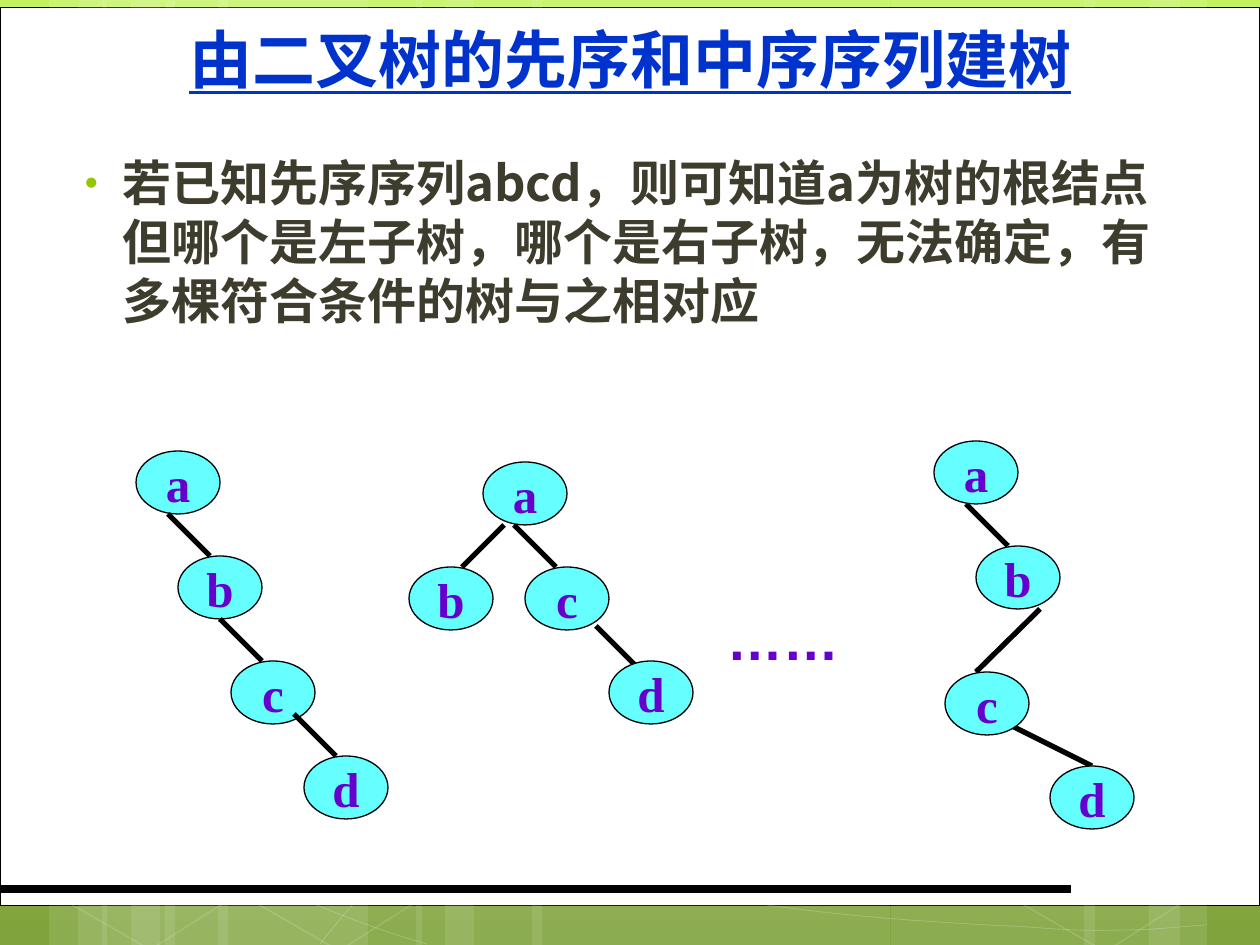
"""Build a slide showing that a preorder sequence alone does not fix a binary tree."""
from lxml import etree
from pptx import Presentation
from pptx.dml.color import RGBColor
from pptx.enum.shapes import MSO_CONNECTOR, MSO_SHAPE
from pptx.enum.text import MSO_ANCHOR, MSO_AUTO_SIZE, PP_ALIGN
from pptx.oxml.ns import qn
from pptx.util import Pt

STRAIGHT = MSO_CONNECTOR.STRAIGHT
RECTANGLE, OVAL, HEXAGON = MSO_SHAPE.RECTANGLE, MSO_SHAPE.OVAL, MSO_SHAPE.HEXAGON
MIDDLE, TOP = MSO_ANCHOR.MIDDLE, MSO_ANCHOR.TOP
CENTER, LEFT = PP_ALIGN.CENTER, PP_ALIGN.LEFT
EMU_PER_PX = 914400 / 126
WIDTH, HEIGHT = 1260, 945
COLORS = {
    "sky": "C2F35F", "grass": "80A33D", "white": "FFFFFF", "black": "000000",
    "title": "0033CC", "body": "3E3D2D", "bullet": "94C600",
    "node": "66FFFF", "label": "6600CC",
}

TITLE = "由二叉树的先序和中序序列建树"
BODY = ("若已知先序序列abcd，则可知道a为树的根结点但哪个是左子树，"
        "哪个是右子树，无法确定，有多棵符合条件的树与之相对应")
ELLIPSIS = "……"
CHINESE_FONT = "Noto Sans CJK JP"
TITLE_FONT = {"name": "Quicksand", "size": Pt(36), "bold": True, "underline": True}
BODY_FONT = {"name": CHINESE_FONT, "size": Pt(28), "bold": True}
NODE_FONT = {"name": "Times New Roman", "size": Pt(28), "bold": True}
ELLIPSIS_FONT = {"name": "Arial", "size": Pt(32), "bold": True}

NODE_SIZE = (84, 63)
TREES = [
    {"nodes": {"a": (136, 451), "b": (178, 556), "c": (231, 661), "d": (304, 756)},
     "edges": [(168, 514, 210, 556), (220, 619, 262, 661), (294, 714, 336, 756)],
     "edges_on_top": True},
    {"nodes": {"a": (483, 462), "b": (409, 567), "c": (525, 567), "d": (609, 661)},
     "edges": [(504, 525, 462, 567), (514, 525, 556, 567), (596, 626, 638, 668)],
     "edges_on_top": False},
    {"nodes": {"a": (934, 441), "b": (976, 546), "c": (945, 672), "d": (1050, 766)},
     "edges": [(966, 504, 1008, 546), (1040, 609, 976, 672), (1008, 724, 1092, 766)],
     "edges_on_top": False},
]

BANDS = [(165, 203), (49, 58), (78, 97), (218, 204), (102, 58), (131, 97),
         (891, 204), (1149, 58), (1084, 96), (532, 358), (416, 58), (445, 97)]
CURVES = [
    [(45, 777), (185, 847), (325, 916), (427, 944)],
    [(47, 728), (83, 742), (120, 756), (188, 776), (255, 795), (355, 827), (452, 848),
     (549, 869), (672, 892), (767, 905), (863, 919), (966, 924), (1028, 927),
     (1089, 932), (1105, 930), (1135, 930), (1164, 929), (1186, 926), (1207, 925)],
    [(320, 944), (340, 919), (360, 893), (389, 871)],
]
HEXAGON_SIZE = (203, 192)
HEXAGONS = [(52, 745), (241, 746), (1007, 747)]


def px(*lengths):
    return [round(length * EMU_PER_PX) for length in lengths]


def rgb(name):
    return RGBColor.from_string(COLORS[name])


def paint(fill, name, percent):
    if not name:
        fill.background()
        return
    fill.solid()
    fill.fore_color.rgb = rgb(name)
    if percent < 100:
        color = fill._xPr.find(qn("a:solidFill")).find(qn("a:srgbClr"))
        etree.SubElement(color, qn("a:alpha"), val=str(percent * 1000))


def style(shape, fill, line, line_width=0, fill_alpha=100, line_alpha=100):
    shape.shadow.inherit = False
    paint(shape.fill, fill, fill_alpha)
    if line:
        shape.line.width = Pt(line_width)
    paint(shape.line.fill, line, line_alpha)


def add_line(shapes, ends, width):
    connector = shapes.add_connector(STRAIGHT, *px(*ends))
    connector.line.color.rgb = rgb("black")
    connector.line.width = Pt(width)
    etree.SubElement(connector._element.spPr, qn("a:effectLst"))


def add_curve(shapes, controls):
    points = [px(*point) for point in controls]
    builder = shapes.build_freeform(*points[0])
    builder.add_line_segments(points[1:], close=False)
    curve = builder.convert_to_shape()
    segments = list(curve._element.iter(qn("a:lnTo")))
    for start in range(0, len(segments), 3):
        outline = segments[start].getparent()
        bezier = etree.SubElement(outline, qn("a:cubicBezTo"))
        for segment in segments[start:start + 3]:
            bezier.append(segment[0])
            outline.remove(segment)
    return curve


def write(shape, text, font, color, alignment, anchor, wrap=True, margins=(13, 6),
          chinese_font=None):
    frame = shape.text_frame
    horizontal, vertical = px(*margins)
    settings = {"auto_size": MSO_AUTO_SIZE.NONE, "word_wrap": wrap, "vertical_anchor": anchor,
                "margin_left": horizontal, "margin_right": horizontal,
                "margin_top": vertical, "margin_bottom": vertical}
    for name, value in settings.items():
        setattr(frame, name, value)
    paragraph = frame.paragraphs[0]
    paragraph.alignment = alignment
    paragraph.space_before = Pt(0)
    run = paragraph.add_run()
    run.text = text
    for name, value in font.items():
        setattr(run.font, name, value)
    run.font.color.rgb = rgb(color)
    etree.SubElement(run._r.get_or_add_rPr(), qn("a:ea"), typeface=chinese_font or font["name"])
    return paragraph


def add_bullet(paragraph):
    properties = paragraph._p.get_or_add_pPr()
    for name, value in zip(("marL", "indent"), px(47, -38)):
        properties.set(name, str(value))
    color = etree.SubElement(properties, qn("a:buClr"))
    etree.SubElement(color, qn("a:srgbClr"), val=COLORS["bullet"])
    etree.SubElement(properties, qn("a:buSzPct"), val="76000")
    etree.SubElement(properties, qn("a:buFont"), typeface="Arial")
    etree.SubElement(properties, qn("a:buChar"), char="•")


def place(shape, *box):
    for name, value in zip(("left", "top", "width", "height"), px(*box)):
        setattr(shape, name, value)
    shape._element.getparent().append(shape._element)


def add_backdrop(slide):
    gradient = slide.background.fill
    gradient.gradient()
    gradient.gradient_angle = 270
    for stop, name in zip(gradient.gradient_stops, ("sky", "grass")):
        stop.color.rgb = rgb(name)
    shapes = slide.shapes
    style(shapes.add_shape(RECTANGLE, *px(0, 7, WIDTH, 898)), "white", "black", 0.5)
    for left, width in BANDS:
        style(shapes.add_shape(RECTANGLE, *px(left, 0, width, HEIGHT)), "white", None, fill_alpha=10)
    for controls in CURVES:
        style(add_curve(shapes, controls), None, "white", 0.5, line_alpha=20)
    for corner in HEXAGONS:
        hexagon = shapes.add_shape(HEXAGON, *px(*corner, *HEXAGON_SIZE))
        hexagon.adjustments[0] = 0.26
        hexagon.rotation = 30
        style(hexagon, None, "white", 1, line_alpha=12)
    add_line(shapes, (0, 889, 1071, 889), 4.5)


def add_tree(slide, tree):
    shapes = slide.shapes.add_group_shape().shapes

    def add_edges():
        for ends in tree["edges"]:
            add_line(shapes, ends, 3)

    def add_nodes():
        for label, corner in tree["nodes"].items():
            node = shapes.add_shape(OVAL, *px(*corner, *NODE_SIZE))
            style(node, "node", "black", 0.75)
            write(node, label, NODE_FONT, "label", CENTER, MIDDLE, wrap=False)

    steps = (add_nodes, add_edges) if tree["edges_on_top"] else (add_edges, add_nodes)
    for step in steps:
        step()


def main():
    presentation = Presentation()
    presentation.slide_width, presentation.slide_height = px(WIDTH, HEIGHT)
    slide = presentation.slides.add_slide(presentation.slide_layouts[1])
    title, body = slide.placeholders
    add_backdrop(slide)
    place(title, 63, 0, 1134, 116)
    write(title, TITLE, TITLE_FONT, "title", CENTER, MIDDLE, margins=(0, 0),
          chinese_font=CHINESE_FONT)
    place(body, 63, 147, 1134, 231)
    add_bullet(write(body, BODY, BODY_FONT, "body", LEFT, TOP))
    for tree in TREES:
        add_tree(slide, tree)
    ellipsis = slide.shapes.add_textbox(*px(714, 598, 168, 81))
    write(ellipsis, ELLIPSIS, ELLIPSIS_FONT, "label", LEFT, TOP)
    presentation.save("out.pptx")


if __name__ == "__main__":
    main()
